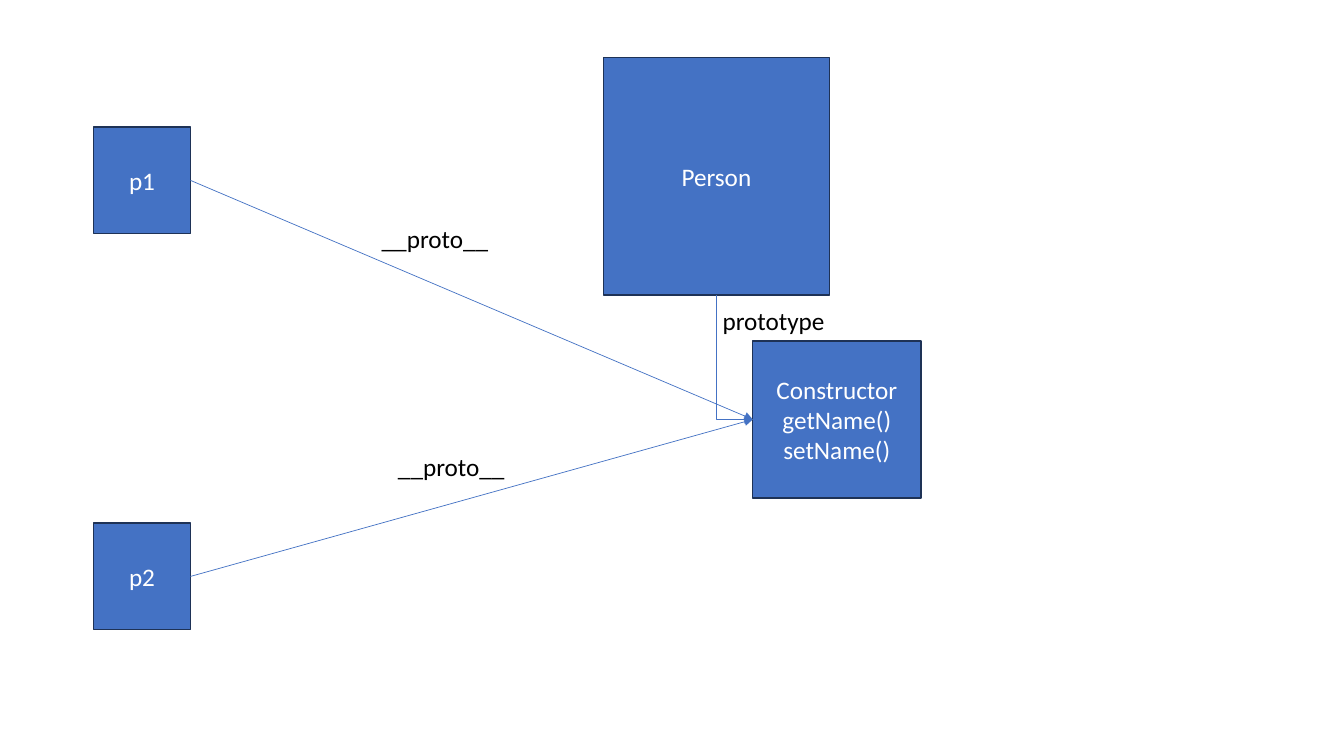
from dataclasses import dataclass

from lxml import etree
from pptx import Presentation
from pptx.dml.color import RGBColor
from pptx.enum.shapes import MSO_CONNECTOR, MSO_SHAPE
from pptx.enum.text import MSO_ANCHOR, MSO_AUTO_SIZE, PP_ALIGN
from pptx.oxml.ns import qn
from pptx.util import Cm, Pt

RECTANGLE = MSO_SHAPE.RECTANGLE
STRAIGHT, ELBOW = MSO_CONNECTOR.STRAIGHT, MSO_CONNECTOR.ELBOW
MIDDLE = MSO_ANCHOR.MIDDLE
GROW = MSO_AUTO_SIZE.SHAPE_TO_FIT_TEXT
LEFT, CENTER = PP_ALIGN.LEFT, PP_ALIGN.CENTER
BOTTOM_SIDE, LEFT_SIDE, RIGHT_SIDE = 2, 1, 3
BLANK_LAYOUT = 6

INSTANCE_SIZE = (2.44, 2.69)
BOXES = {
    "person": (["Person"], (15.21, 1.45), (5.69, 5.99)),
    "prototype": (["Constructor", "getName()", "setName()"], (18.97, 8.59), (4.24, 3.96)),
    "p1": (["p1"], (2.36, 3.2), INSTANCE_SIZE),
    "p2": (["p2"], (2.36, 13.18), INSTANCE_SIZE),
}
LABELS = [
    ("prototype", (17.96, 7.57), (3.1, 1.02)),
    ("__proto__", (9.37, 5.51), (3.23, 1.02)),
    ("__proto__", (9.78, 11.25), (3.23, 1.02)),
]
LINKS = [
    ("person", BOTTOM_SIDE, ELBOW),
    ("p1", RIGHT_SIDE, STRAIGHT),
    ("p2", RIGHT_SIDE, STRAIGHT),
]


@dataclass(frozen=True)
class Theme:
    font: str = "Calibri"
    size: Pt = Pt(18)
    accent: RGBColor = RGBColor(0x44, 0x72, 0xC4)
    border: RGBColor = RGBColor(0x1E, 0x32, 0x56)
    box_text: RGBColor = RGBColor(0xFF, 0xFF, 0xFF)
    label_text: RGBColor = RGBColor(0, 0, 0)
    border_width: Pt = Pt(1)
    link_width: Pt = Pt(0.5)


THEME = Theme()


def write(frame, lines, color, alignment):
    for index, line in enumerate(lines):
        para = frame.paragraphs[0] if index == 0 else frame.add_paragraph()
        para.alignment = alignment
        span = para.add_run()
        span.text = line
        span.font.name = THEME.font
        span.font.size = THEME.size
        span.font.color.rgb = color


def add_box(page, lines, position, size):
    box = page.shapes.add_shape(RECTANGLE, *map(Cm, position + size))
    box.shadow.inherit = False
    box.fill.solid()
    box.fill.fore_color.rgb = THEME.accent
    box.line.color.rgb = THEME.border
    box.line.width = THEME.border_width
    box.text_frame.word_wrap = True
    box.text_frame.vertical_anchor = MIDDLE
    write(box.text_frame, lines, THEME.box_text, CENTER)
    return box


def add_label(page, text, position, size):
    label = page.shapes.add_textbox(*map(Cm, position + size))
    label.text_frame.word_wrap = False
    label.text_frame.auto_size = GROW
    write(label.text_frame, [text], THEME.label_text, LEFT)


def bend_down_then_right(link):
    run = link.end_x - link.begin_x
    drop = link.end_y - link.begin_y
    center_x = (link.begin_x + link.end_x) // 2
    center_y = (link.begin_y + link.end_y) // 2
    link.left, link.top = center_x - drop // 2, center_y - run // 2
    link.width, link.height = drop, run
    properties = link._element.spPr
    transform = properties.find(qn("a:xfrm"))
    transform.set("rot", "16200000")
    transform.set("flipH", "1")
    properties.find(qn("a:prstGeom")).set("prst", "bentConnector2")


def add_link(page, source, side, target, kind):
    link = page.shapes.add_connector(kind, 0, 0, 0, 0)
    link.begin_connect(source, side)
    link.end_connect(target, LEFT_SIDE)
    if kind == ELBOW:
        bend_down_then_right(link)
    link.line.color.rgb = THEME.accent
    link.line.width = THEME.link_width
    properties = link._element.spPr
    etree.SubElement(properties.find(qn("a:ln")), qn("a:tailEnd"), type="triangle")
    etree.SubElement(properties, qn("a:effectLst"))


def main():
    deck = Presentation()
    deck.slide_width, deck.slide_height = Cm(33.87), Cm(19.05)
    page = deck.slides.add_slide(deck.slide_layouts[BLANK_LAYOUT])
    boxes = {name: add_box(page, *content) for name, content in BOXES.items()}
    for source, side, kind in LINKS:
        add_link(page, boxes[source], side, boxes["prototype"], kind)
    for label in LABELS:
        add_label(page, *label)
    deck.save("out.pptx")


if __name__ == "__main__":
    main()
